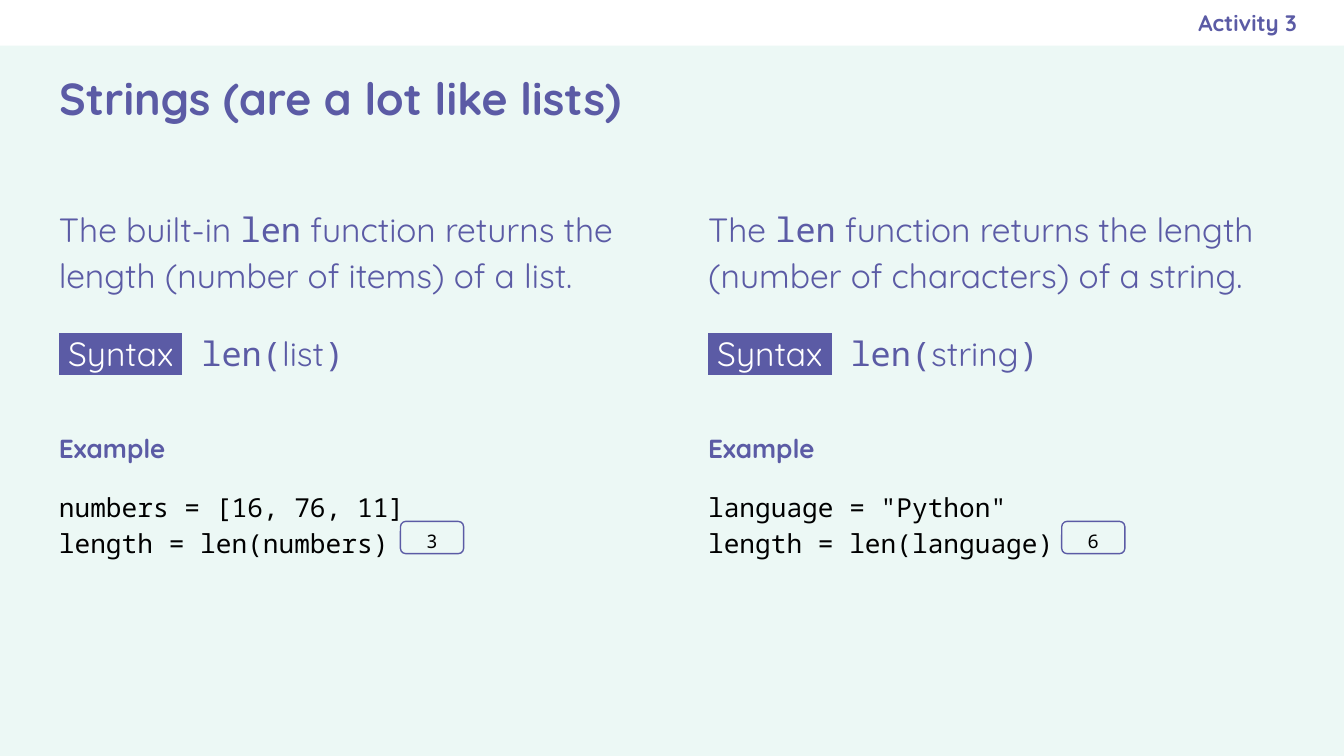
from lxml.etree import SubElement
from pptx import Presentation
from pptx.dml.color import RGBColor
from pptx.enum.shapes import MSO_SHAPE as SHAPE
from pptx.enum.text import MSO_ANCHOR as ANCHOR, MSO_AUTO_SIZE as AUTO, PP_ALIGN as ALIGN
from pptx.oxml.ns import qn
from pptx.util import Inches, Pt

COLORS = {"back": "ECF8F5", "band": "FFFFFF", "accent": "5B5BA5", "code": "000000"}
SANS, MONO = "Quicksand", "Noto Sans Mono"

TITLE = "Strings (are a lot like lists)"
ACTIVITY = "Activity 3"
COLUMNS = [
    {"left": 0.34, "intro": "The built-in ",
     "rest": " function returns the length (number of items) of a list.",
     "argument": "list",
     "code": ["numbers = [16, 76, 11]", "length = len(numbers)"],
     "result": "3", "result_left": 2.98},
    {"left": 5.17, "intro": "The ",
     "rest": " function returns the length (number of characters) of a string.",
     "argument": "string",
     "code": ['language = "Python"', "length = len(language)"],
     "result": "6", "result_left": 7.9},
]
COLUMN_WIDTH = 4.48
SYNTAX_TAB = 1.06


def rgb(name):
    return RGBColor.from_string(COLORS[name])


def set_frame(sp, insets, anchor=ANCHOR.TOP):
    """Set the insets (left, top, right, bottom) and return the text frame."""
    tf = sp.text_frame
    tf.word_wrap, tf.auto_size, tf.vertical_anchor = True, AUTO.NONE, anchor
    tf.margin_left, tf.margin_top, tf.margin_right, tf.margin_bottom = map(Inches, insets)
    return tf


def add_run(p, text, size, font=SANS, color="accent", bold=False, highlight=None):
    r = p.add_run()
    r.text = text
    r.font.size, r.font.name, r.font.bold = Pt(size), font, bold
    r.font.color.rgb = rgb(color)
    if highlight:
        mark = SubElement(r.font._element, qn("a:highlight"))
        SubElement(mark, qn("a:srgbClr"), val=COLORS[highlight])
        r.font._element.find(qn("a:solidFill")).addnext(mark)


def set_spacing(p, line, before=0):
    p.line_spacing, p.space_before = line, Pt(before)
    return p


def add_textbox(s, left, top, width, height, insets, anchor=ANCHOR.TOP):
    box = s.shapes.add_textbox(*map(Inches, (left, top, width, height)))
    return set_frame(box, insets, anchor)


def add_shape(s, kind, left, top, width, height):
    sp = s.shapes.add_shape(kind, *map(Inches, (left, top, width, height)))
    sp.shadow.inherit = False
    return sp


def add_header(s):
    band = add_shape(s, SHAPE.RECTANGLE, 0, 0, 10, 0.34)
    band.fill.solid()
    band.fill.fore_color.rgb = rgb("band")
    band.line.fill.background()

    title = s.shapes.title
    title.left, title.top, title.width, title.height = map(Inches, (0.34, 0.34, 9.32, 0.77))
    p = set_frame(title, (0.1, 0.1, 0.1, 0.1), ANCHOR.MIDDLE).paragraphs[0]
    p.alignment = ALIGN.LEFT
    add_run(p, TITLE, 24, bold=True)

    tf = add_textbox(s, 5.75, 0, 3.9, 0.34, (0.1, 0.1, 0, 0.1), ANCHOR.MIDDLE)
    tf.paragraphs[0].alignment = ALIGN.RIGHT
    add_run(tf.paragraphs[0], ACTIVITY, 12, bold=True)


def add_explanation(s, column, insets):
    tf = add_textbox(s, column["left"], 1.41, COLUMN_WIDTH, 1.55, insets)
    p = set_spacing(tf.paragraphs[0], 1.14)
    add_run(p, column["intro"], 18)
    add_run(p, "len", 18, MONO)
    add_run(p, column["rest"], 18)

    p = tf.add_paragraph()
    tabs = SubElement(p._p.get_or_add_pPr(), qn("a:tabLst"))
    SubElement(tabs, qn("a:tab"), pos=str(Inches(SYNTAX_TAB)), algn="l")
    set_spacing(p, 1.12, 18)
    add_run(p, " Syntax ", 18, color="band", highlight="accent")
    add_run(p, "\t", 18)
    add_run(p, "len(", 18, MONO)
    add_run(p, column["argument"], 18)
    add_run(p, ")", 18, MONO)


def add_example(s, column, insets):
    tf = add_textbox(s, column["left"], 3.09, COLUMN_WIDTH, 2.19, insets)
    add_run(set_spacing(tf.paragraphs[0], 1.12), "Example", 14, bold=True)
    for i, line in enumerate(column["code"]):
        p = set_spacing(tf.add_paragraph(), 1.15, 0 if i else 12)
        add_run(p, line, 14, MONO, "code")

    result = add_shape(s, SHAPE.ROUNDED_RECTANGLE, column["result_left"], 3.88, 0.47, 0.24)
    result.fill.background()
    result.line.color.rgb = rgb("accent")
    result.line.width = Pt(0.75)
    tf = set_frame(result, (0, 0.02, 0, 0), ANCHOR.MIDDLE)
    p = set_spacing(tf.paragraphs[0], 1.15)
    p.alignment = ALIGN.CENTER
    add_run(p, column["result"], 10, MONO, "code")


def main():
    prs = Presentation()
    prs.slide_width = Inches(10)
    prs.slide_height = prs.slide_width * 9 // 16
    s = prs.slides.add_slide(prs.slide_layouts[5])
    s.background.fill.solid()
    s.background.fill.fore_color.rgb = rgb("back")
    add_header(s)
    insets = (0.1, 0.1, 0.06, 0.1)
    for column in COLUMNS:
        add_explanation(s, column, insets)
        add_example(s, column, insets)
    prs.save("out.pptx")


if __name__ == "__main__":
    main()
